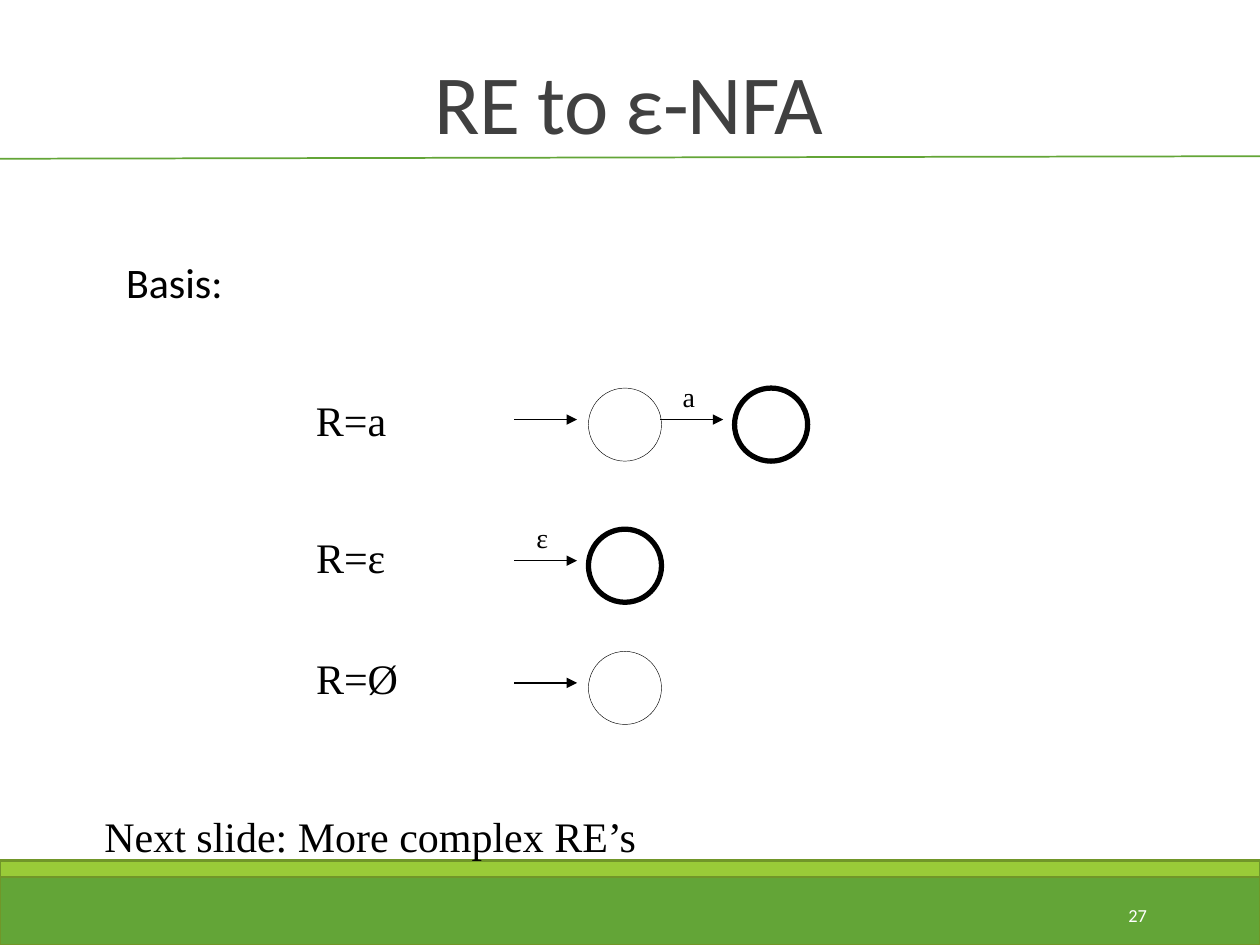
from lxml import etree
from pptx import Presentation
from pptx.dml.color import RGBColor
from pptx.enum.shapes import MSO_CONNECTOR, MSO_SHAPE
from pptx.enum.text import MSO_ANCHOR, MSO_AUTO_SIZE, PP_ALIGN
from pptx.oxml.ns import qn
from pptx.util import Inches, Pt

RECTANGLE, CIRCLE = MSO_SHAPE.RECTANGLE, MSO_SHAPE.OVAL
STRAIGHT = MSO_CONNECTOR.STRAIGHT
TOP, MIDDLE, BOTTOM = MSO_ANCHOR.TOP, MSO_ANCHOR.MIDDLE, MSO_ANCHOR.BOTTOM
LEFT, CENTER, RIGHT = PP_ALIGN.LEFT, PP_ALIGN.CENTER, PP_ALIGN.RIGHT
FIT_SHAPE, NO_FIT = MSO_AUTO_SIZE.SHAPE_TO_FIT_TEXT, MSO_AUTO_SIZE.NONE

BLACK = RGBColor(0x00, 0x00, 0x00)
WHITE = RGBColor(0xFF, 0xFF, 0xFF)
GRAY = RGBColor(0x40, 0x40, 0x40)
GREEN = RGBColor(0x63, 0xA5, 0x37)
LIME = RGBColor(0x99, 0xCB, 0x38)
OLIVE = RGBColor(0x71, 0x96, 0x29)

SANS, SERIF = "Calibri", "Times New Roman"
STATE_SIZE = 0.58
ARROW_LENGTH = 0.5
START_X, STATE_X = 4.08, 4.67
STEP = 1.16  # from one state to the next


def set_values(target, values):
    for name, value in values.items():
        setattr(target, name, value)


def place(shape, left, top, width, height):
    set_values(shape, {"left": Inches(left), "top": Inches(top),
                       "width": Inches(width), "height": Inches(height)})


def write(shape, text, size, font, color, frame_values, paragraph_values):
    frame = shape.text_frame
    frame.text = text
    set_values(frame, frame_values)
    paragraph = frame.paragraphs[0]
    set_values(paragraph, paragraph_values)
    run = paragraph.runs[0]
    set_values(run.font, {"size": Pt(size), "name": font, "bold": False})
    run.font.color.rgb = color
    return paragraph


def add_label(slide, text, box, size=24):
    label = slide.shapes.add_textbox(*map(Inches, box))
    write(label, text, size, SERIF, BLACK,
          {"word_wrap": False, "auto_size": FIT_SHAPE}, {"alignment": LEFT})


def add_outlined(slide, kind, box, line_color, line_width, fill=None):
    shape = slide.shapes.add_shape(kind, *map(Inches, box))
    shape.shadow.inherit = False
    if fill is None:
        shape.fill.background()
    else:
        shape.fill.solid()
        shape.fill.fore_color.rgb = fill
    shape.line.color.rgb = line_color
    shape.line.width = Pt(line_width)


def add_line(slide, start, end, color, width):
    line = slide.shapes.add_connector(STRAIGHT, *map(Inches, start + end))
    line.line.color.rgb = color
    line.line.width = Pt(width)
    etree.SubElement(line._element.spPr, qn("a:effectLst"))
    return line


def add_state(slide, left, top, accepting):
    add_outlined(slide, CIRCLE, (left, top, STATE_SIZE, STATE_SIZE),
                 BLACK, 3 if accepting else 0.25)


def add_arrow(slide, left, state_top, symbol=None):
    """Arrow into the state at state_top, with its input symbol above."""
    y = state_top + 0.25
    arrow = add_line(slide, (left, y), (left + ARROW_LENGTH, y), BLACK, 0.75)
    outline = arrow.line._get_or_add_ln()
    etree.SubElement(outline, qn("a:tailEnd"), type="triangle")
    if symbol:
        add_label(slide, symbol, (left + 0.08, y - 0.37, 0.3, 0.37), 16)


def add_frame(slide):
    """Footer bars, title rule and slide number."""
    add_outlined(slide, RECTANGLE, (0, 6.92, 10, 0.58), OLIVE, 1.25, GREEN)
    add_outlined(slide, RECTANGLE, (0, 6.83, 10, 0.13), OLIVE, 1.25, LIME)
    add_line(slide, (-0.03, 1.26), (10, 1.24), GREEN, 1)
    number = slide.shapes.add_textbox(*map(Inches, (8.12, 7.06, 1.08, 0.4)))
    write(number, "27", 10.5, SANS, WHITE,
          {"word_wrap": True, "vertical_anchor": MIDDLE}, {"alignment": RIGHT})


def fill_placeholders(slide):
    title, body = slide.placeholders
    place(title, 0.49, 0.25, 9, 1)
    paragraph = write(title, "RE to ε-NFA", 48, SANS, GRAY,
                      {"vertical_anchor": BOTTOM, "auto_size": NO_FIT},
                      {"alignment": CENTER, "line_spacing": 0.85})
    paragraph.runs[0].font._element.set("spc", "-50")

    place(body, 0.5, 1.34, 9, 5.33)
    paragraph = write(body, "Basis:", 24, SANS, BLACK,
                      {"vertical_anchor": TOP, "auto_size": NO_FIT,
                       "margin_left": 0, "margin_right": 0,
                       "margin_top": Inches(0.74)},
                      {"line_spacing": 0.9, "space_before": Pt(0),
                       "space_after": Pt(2)})
    properties = paragraph._p.get_or_add_pPr()
    set_indent = {"marL": Inches(0.5), "indent": 0}
    for name, value in set_indent.items():
        properties.set(name, str(value))
    etree.SubElement(properties, qn("a:buNone"))


def main():
    presentation = Presentation()
    presentation.slide_width = Inches(10)
    presentation.slide_height = Inches(7.5)
    slide = presentation.slides.add_slide(presentation.slide_layouts[1])
    fill_placeholders(slide)
    add_frame(slide)

    # expression, label top and width, state top, accepting start, start symbol
    automata = [
        ("R=a", 3.08, 0.76, 3.08, False, None),
        ("R=ε", 4.17, 0.75, 4.2, True, "ε"),
        ("R=Ø", 5.13, 0.85, 5.17, False, None),
    ]
    for expression, top, width, state_top, accepting, symbol in automata:
        add_label(slide, expression, (2.41, top, width, 0.5))
        add_state(slide, STATE_X, state_top, accepting)
        add_arrow(slide, START_X, state_top, symbol)

    first_state_top = automata[0][3]
    add_state(slide, STATE_X + STEP, first_state_top, True)
    add_arrow(slide, START_X + STEP, first_state_top, "a")
    add_label(slide, "Next slide: More complex RE’s", (0.73, 6.38, 4.44, 0.5))
    presentation.save("out.pptx")


if __name__ == "__main__":
    main()
